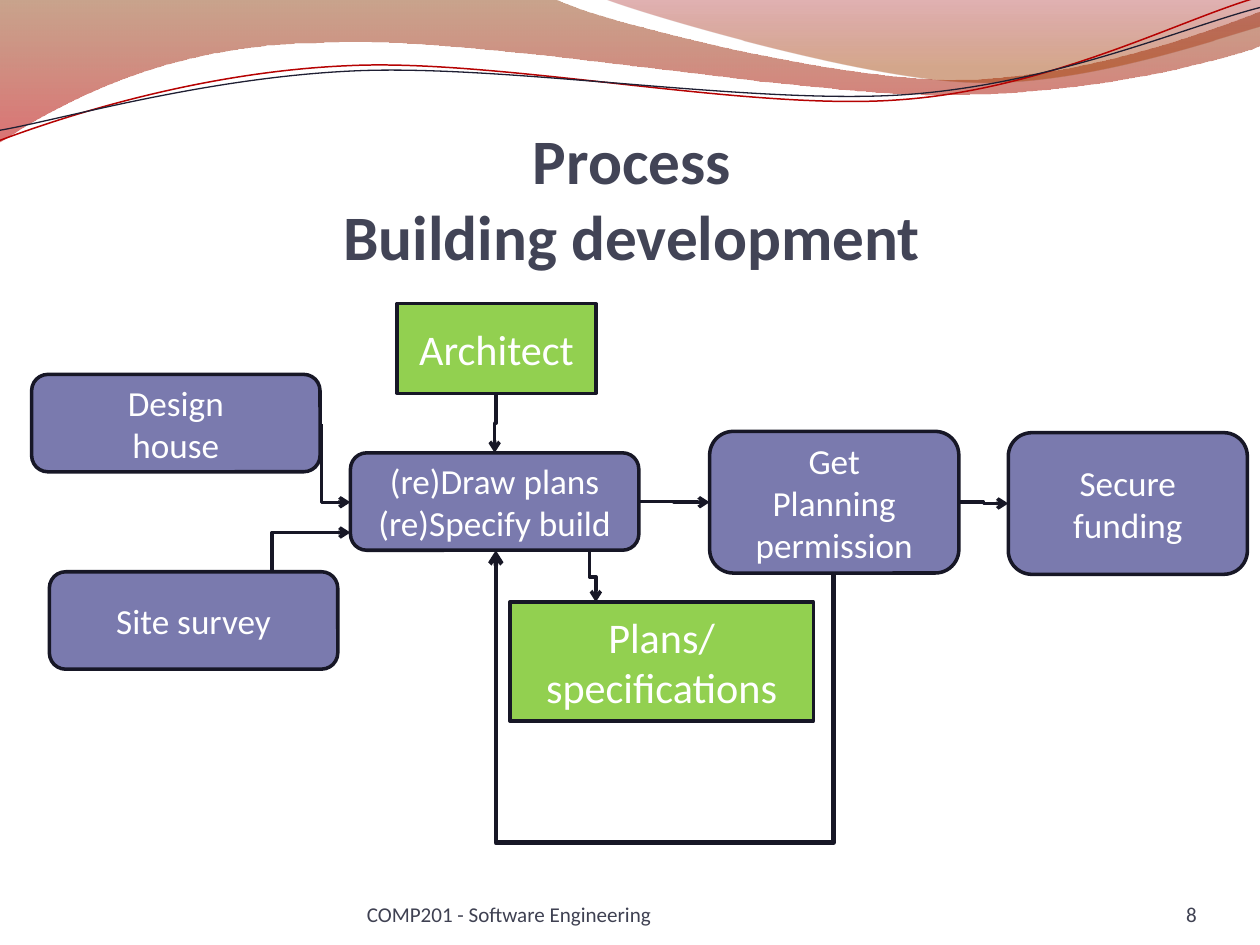
from pptx import Presentation
from pptx.dml.color import RGBColor
from pptx.enum import shapes, text
from pptx.oxml import ns, xmlchemy
from pptx.util import Inches, Pt

FONT = "Calibri"
INK, PURPLE, GREEN = "171726", "7A7AAE", "92D050"


def color(hex_code):
    return RGBColor.from_string(hex_code)


def add_child(parent, tag, **attributes):
    child = xmlchemy.OxmlElement(tag)
    for name, value in attributes.items():
        child.set(name, str(value))
    parent.append(child)
    return child


def write(frame, lines, size, hex_code, align, bold=False, soft_breaks=False):
    """Write the lines as paragraphs, or as one paragraph with line breaks."""
    paragraph = frame.paragraphs[0]
    for index, line in enumerate(lines):
        if index and soft_breaks:
            paragraph.add_line_break()
        elif index:
            paragraph = frame.add_paragraph()
        paragraph.alignment = align
        run = paragraph.add_run()
        run.text = line
        run.font.name, run.font.size, run.font.bold = FONT, Pt(size), bold
        run.font.color.rgb = color(hex_code)


def label(slide, box, lines, size, hex_code, align, **style):
    frame = slide.shapes.add_textbox(*map(Inches, box)).text_frame
    frame.word_wrap = True
    frame.vertical_anchor = text.MSO_ANCHOR.BOTTOM
    frame.margin_left = frame.margin_right = frame.margin_top = frame.margin_bottom = 0
    write(frame, lines, size, hex_code, align, **style)


def outline(slide, start, steps, close):
    """Draw from start; a step is a line (x, y) or a curve (two controls, end)."""
    builder = slide.shapes.build_freeform(*map(Inches, start), scale=1.0)
    builder.add_line_segments([tuple(map(Inches, step[-2:])) for step in steps], close)
    shape = builder.convert_to_shape()
    shape.shadow.inherit = False
    lines = list(shape._element.iter(ns.qn("a:lnTo")))
    for line, step in zip(lines, steps):
        if len(step) == 6:
            curve = xmlchemy.OxmlElement("a:cubicBezTo")
            for x, y in zip(step[::2], step[1::2]):
                add_child(curve, "a:pt", x=Inches(x) - builder.shape_offset_x,
                          y=Inches(y) - builder.shape_offset_y)
            line.getparent().replace(line, curve)
    return shape


def wave(slide, start, steps, stops):
    """Fill an outline downwards with (position, colour, opacity) stops."""
    shape = outline(slide, start, steps, True)
    shape.line.fill.background()
    shape.fill.gradient()
    shape.fill.gradient_angle = 270
    for stop, (position, hex_code, _) in zip(shape.fill.gradient_stops, stops):
        stop.position = position
        stop.color.rgb = color(hex_code)
    tints = shape._element.spPr.iter(ns.qn("a:srgbClr"))
    for tint, (_, _, opacity) in zip(tints, stops):
        add_child(tint, "a:alpha", val=opacity * 1000)


def strand(slide, start, steps, hex_code, width):
    shape = outline(slide, start, steps, False)
    shape.fill.background()
    shape.line.color.rgb = color(hex_code)
    shape.line.width = Pt(width)


def wave_header(slide):
    wave(slide, (0, 0),
         [(4.38, -0.01), (4.74, 0.17, 6.61, 0.63, 7.55, 0.63),
          (8.5, 0.63, 9.54, 0.26, 9.96, 0.09), (9.97, 0.36),
          (9.79, 0.44, 8.66, 0.76, 7.43, 0.75), (6.19, 0.75, 3.8, 0.28, 2.56, 0.34),
          (1.29, 0.35, 0.46, 0.83, -0.01, 1.13)],
         [(0, "883400", 45), (1, "BD0000", 55)])
    wave(slide, (4.77, -0.01),
         [(5.07, 0.11, 6.79, 0.62, 7.66, 0.65), (8.52, 0.69, 9.57, 0.32, 9.96, 0.21),
          (9.96, 0)],
         [(0, "9A0000", 30), (0.8, "A23E00", 45)])
    strand(slide, (0, 1.11),
           [(0.48, 0.93, 1.57, 0.57, 2.75, 0.52), (3.94, 0.46, 5.9, 0.88, 7.1, 0.79),
            (8.29, 0.71, 9.34, 0.15, 9.94, -0.02)], "B60202", 0.85)
    strand(slide, (0, 1.03),
           [(0.47, 0.95, 1.63, 0.61, 2.82, 0.56), (4.01, 0.51, 5.95, 0.83, 7.14, 0.75),
            (8.33, 0.67, 9.37, 0.21, 9.96, 0.06)], "1F1F33", 0.75)


def node(slide, box, lines, kind, fill, size):
    shape = slide.shapes.add_shape(kind, *map(Inches, box))
    shape.shadow.inherit = False
    shape.fill.solid()
    shape.fill.fore_color.rgb = color(fill)
    shape.line.color.rgb = color(INK)
    shape.line.width = Pt(2)
    shape.text_frame.word_wrap = True
    shape.text_frame.vertical_anchor = text.MSO_ANCHOR.MIDDLE
    write(shape.text_frame, lines, size, "FFFFFF", text.PP_ALIGN.CENTER)
    return shape


def activity(slide, box, *lines):
    return node(slide, box, lines, shapes.MSO_SHAPE.ROUNDED_RECTANGLE, PURPLE, 20)


def resource(slide, box, *lines):
    return node(slide, box, lines, shapes.MSO_SHAPE.RECTANGLE, GREEN, 24)


def elbow(slide, start, end, width=2):
    connector = slide.shapes.add_connector(
        shapes.MSO_CONNECTOR.ELBOW, *map(Inches, start + end))
    connector.line.color.rgb = color(INK)
    connector.line.width = Pt(width)
    properties = connector._element.spPr
    add_child(properties.find(ns.qn("a:ln")), "a:tailEnd", type="arrow")
    add_child(properties, "a:effectLst")
    return connector


def link(slide, source, target):
    """Join the right side of one box to the left side of the next."""
    connector = elbow(slide, (0, 0), (0, 0))
    connector.begin_connect(source, 3)
    connector.end_connect(target, 1)


def drop_elbow(slide, start, end, turn_y=None, single_bend=False, width=2):
    """Elbow that leaves vertically: a horizontal-first one turned by 90 degrees."""
    (x1, y1), (x2, y2) = start, end
    cx, cy = (x1 + x2) / 2, (y1 + y2) / 2
    turned = [(cx + y - cy, cy - x + cx) for x, y in (start, end)]
    properties = elbow(slide, *turned, width=width)._element.spPr
    properties.find(ns.qn("a:xfrm")).set("rot", str(90 * 60000))
    geometry = properties.find(ns.qn("a:prstGeom"))
    if single_bend:
        geometry.set("prst", "bentConnector2")
    if turn_y is not None:
        guides = geometry.find(ns.qn("a:avLst"))
        if guides is None:
            guides = add_child(geometry, "a:avLst")
        share = round((turn_y - y1) / (y2 - y1) * 100000)
        add_child(guides, "a:gd", name="adj1", fmla=f"val {share}")


def process_diagram(slide, left, top):
    def at(x, y):
        return left + x, top + y

    size = (2.28, 0.77)
    funding = activity(slide, at(7.72, 1.02) + (1.89, 1.12), "Secure", "funding")
    activity(slide, at(0, 0.56) + size, "Design", "house")
    permission = activity(slide, at(5.36, 1.01) + (1.97, 1.12),
                          "Get", "Planning permission")
    activity(slide, at(0.14, 2.12) + size, "Site survey")
    drawing = activity(slide, at(2.52, 1.18) + size,
                       "(re)Draw plans", "(re)Specify build")
    drop_elbow(slide, at(2.29, 0.95), at(2.52, 1.57), single_bend=True)
    elbow(slide, at(1.28, 2.12), at(2.52, 1.81))
    link(slide, drawing, permission)
    link(slide, permission, funding)
    drop_elbow(slide, at(6.34, 2.12), at(3.67, 1.95), turn_y=top + 4.26, width=2.5)
    resource(slide, at(2.89, 0) + (1.57, 0.71), "Architect")
    drop_elbow(slide, at(3.67, 0.71), at(3.66, 1.18))
    resource(slide, at(3.78, 2.36) + (2.4, 0.94), "Plans/", "specifications")
    drop_elbow(slide, at(4.41, 1.96), at(4.46, 2.36))


def main():
    deck = Presentation()
    deck.slide_width, deck.slide_height = Inches(9.96), Inches(7.47)
    slide = deck.slides.add_slide(deck.slide_layouts[6])
    wave_header(slide)
    label(slide, (0.53, 1.3, 8.93, 0.86), ["Process", "Building development"],
          36, "424456", text.PP_ALIGN.CENTER, bold=True, soft_breaks=True)
    label(slide, (2.9, 6.93, 3.65, 0.4), ["COMP201 - Software Engineering"],
          12, "3F4152", text.PP_ALIGN.LEFT)
    label(slide, (8.63, 6.93, 0.83, 0.4), ["8"], 12, "3F4152", text.PP_ALIGN.RIGHT)
    process_diagram(slide, 0.25, 2.4)
    deck.save("out.pptx")


if __name__ == "__main__":
    main()
